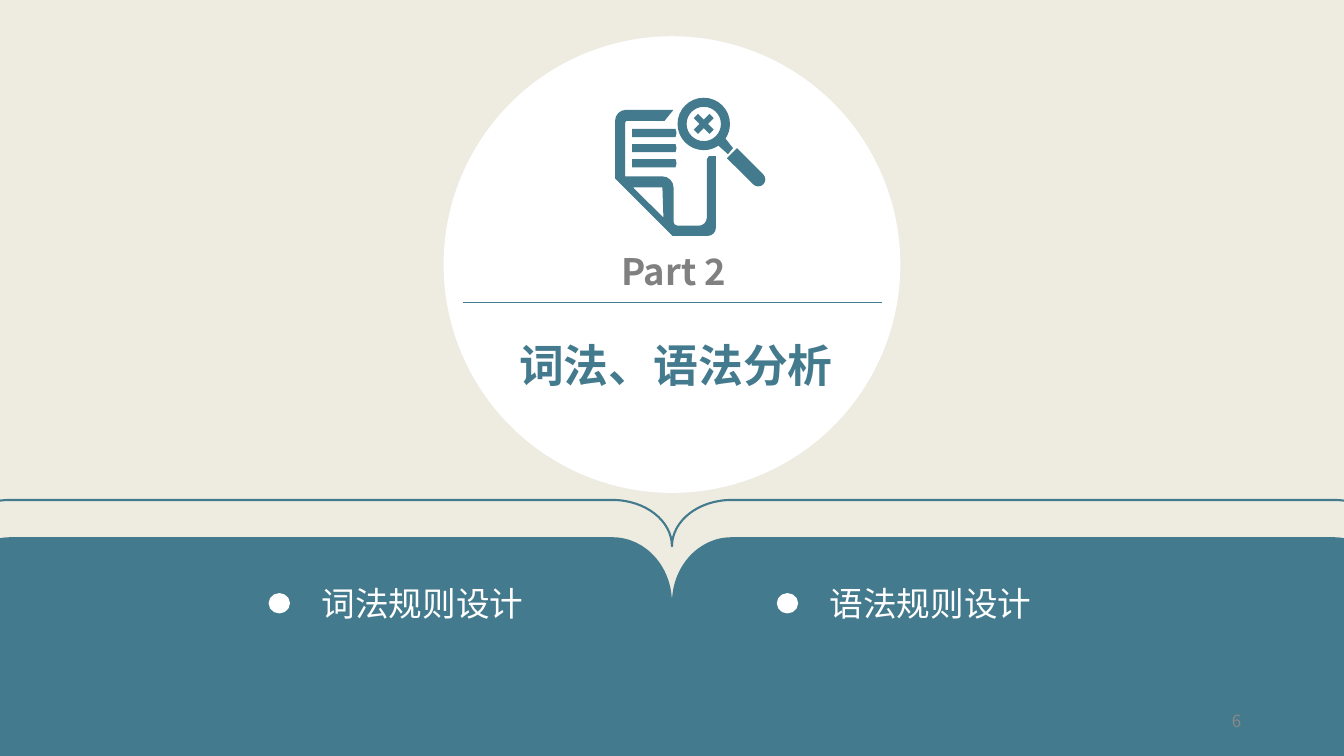
import math
from dataclasses import dataclass

import pptx
import pptx.dml.color
import pptx.enum.shapes
import pptx.enum.text
import pptx.oxml
import pptx.oxml.ns
import pptx.util

Inches = pptx.util.Inches
Pt = pptx.util.Pt
ShapeKind = pptx.enum.shapes.MSO_SHAPE
Anchor = pptx.enum.text.MSO_ANCHOR
Align = pptx.enum.text.PP_ALIGN
DRAWING = pptx.oxml.ns.nsdecls("a")


@dataclass(frozen=True)
class Theme:
    font: str = "Noto Sans CJK SC"
    paper: str = "EEECE1"
    teal: str = "447A8D"
    white: str = "FFFFFF"
    grey: str = "808080"
    pale: str = "898989"
    title_size: int = 32
    part_size: int = 26
    topic_size: int = 24
    number_size: int = 12


THEME = Theme()


def rgb(value):
    return pptx.dml.color.RGBColor.from_string(value)


def paint(shape, fill=None, line=None, width=1.0):
    shape.shadow.inherit = False
    if fill:
        shape.fill.solid()
        shape.fill.fore_color.rgb = rgb(fill)
    else:
        shape.fill.background()
    if line:
        shape.line.color.rgb = rgb(line)
        shape.line.width = Pt(width)
    else:
        shape.line.fill.background()


def arc(x, y, rx, ry, *stops):
    angles = [math.radians(stop) for stop in stops]
    steps = [(x + rx * math.cos(angles[0]), y + ry * math.sin(angles[0]))]
    for a, b in zip(angles, angles[1:]):
        k = 4 / 3 * math.tan((b - a) / 4)
        steps.append((
            x + rx * (math.cos(a) - k * math.sin(a)), y + ry * (math.sin(a) + k * math.cos(a)),
            x + rx * (math.cos(b) + k * math.sin(b)), y + ry * (math.sin(b) - k * math.cos(b)),
            x + rx * math.cos(b), y + ry * math.sin(b)))
    return steps


def outline(slide, left, top, contours):
    placed = [[[Inches(v + (top if i % 2 else left)) for i, v in enumerate(step)]
               for step in contour] for contour in contours]
    builder = slide.shapes.build_freeform(*placed[0][0])
    for index, steps in enumerate(placed):
        if index:
            builder.move_to(*steps[0])
        builder.add_line_segments([step[-2:] for step in steps[1:]], close=True)
    shape = builder.convert_to_shape()
    segments = list(shape._element.iter(pptx.oxml.ns.qn("a:lnTo")))
    for segment, step in zip(segments, [s for steps in placed for s in steps[1:]]):
        if len(step) == 6:
            points = "".join(f'<a:pt x="{x - shape.left}" y="{y - shape.top}"/>'
                             for x, y in zip(step[::2], step[1::2]))
            curve = pptx.oxml.parse_xml(f"<a:cubicBezTo {DRAWING}>{points}</a:cubicBezTo>")
            segment.getparent().replace(segment, curve)
    return shape


def write(shape, box, text, size, color, bold=False, align=Align.LEFT, inset=True, wrap=True):
    shape.left, shape.top, shape.width, shape.height = [Inches(v) for v in box]
    frame = shape.text_frame
    frame.auto_size = pptx.enum.text.MSO_AUTO_SIZE.NONE
    frame.word_wrap = wrap
    frame.vertical_anchor = Anchor.TOP
    frame.margin_left = frame.margin_right = Inches(0.1 if inset else 0)
    frame.margin_top = frame.margin_bottom = Inches(0.05 if inset else 0)
    paragraph = frame.paragraphs[0]
    paragraph.alignment = align
    paragraph.space_before = Pt(0)
    run = paragraph.add_run()
    run.text = text
    run.font.name = THEME.font
    run.font.size = Pt(size)
    run.font.bold = bold
    run.font.color.rgb = rgb(color)
    east_asian = pptx.oxml.parse_xml(f'<a:ea {DRAWING} typeface="{THEME.font}"/>')
    run.font._element.find(pptx.oxml.ns.qn("a:latin")).addnext(east_asian)
    return paragraph


def draw_book(slide, box, corner, fill=None, line=None):
    left, top, width, height = box
    rx, ry = corner
    spine = width / 2
    upper, lower = ry, height - ry
    corners = [
        (spine - rx, upper, -90), (spine + rx, upper, 180),
        (width - rx, upper, -90), (width - rx, lower, 0),
        (spine + rx, lower, 90), (spine - rx, lower, 0),
        (rx, lower, 90), (rx, upper, 180),
    ]
    edge = [step for x, y, start in corners for step in arc(x, y, rx, ry, start, start + 90)]
    paint(outline(slide, left, top, [edge]), fill, line, 1.5)


def draw_search_icon(slide, left, top):
    page = [(0, 0.83), (0.57, 1.4), *arc(0.92, 1.32, 0.08, 0.08, 90, 0),
            (1, 0.61), (0.93, 0.61), (0.91, 0.64),
            *arc(0.83, 1.22, 0.08, 0.08, 0, 90), *arc(0.62, 1.26, 0.04, 0.04, 90, 180),
            *arc(0.47, 0.92, 0.11, 0.11, 0, -90), (0.1, 0.81), (0.1, 0.28),
            (0.11, 0.26), (0.49, 0.26), (0.58, 0.15), *arc(0.11, 0.26, 0.11, 0.11, -90, -180)]
    fold = [(0.18, 0.92), (0.47, 0.92), (0.48, 1.22)]
    bars = [[(0.17, y), (0.6, y), (0.61, y + 0.04), (0.6, y + 0.08), (0.17, y + 0.08)]
            for y in (0.34, 0.49, 0.64)]
    x, y = 0.88, 0.29
    rim = [*arc(x, y, 0.26, 0.26, 56, 90, 180, 270, 360, 394), (1.17, 0.53), (1.12, 0.59)]
    lens = arc(x, y, 0.17, 0.17, 360, 270, 180, 90, 0)
    cross = []
    for turn in range(45, 405, 90):
        c, s = math.cos(math.radians(turn)), math.sin(math.radians(turn))
        for along, across in ((0.11, -0.03), (0.11, 0.03), (0.03, 0.03)):
            cross.append((x + along * c - across * s, y + along * s + across * c))
    handle = [(1.21, 0.53), *arc(1.42, 0.84, 0.07, 0.07, -45, 0, 90, 135), (1.11, 0.63)]
    icon = outline(slide, left, top, [page, fold, *bars, rim, lens, cross, handle])
    paint(icon, THEME.teal)


def draw_medallion(slide, left, top, diameter):
    disc = slide.shapes.add_shape(
        ShapeKind.OVAL, Inches(left), Inches(top), Inches(diameter), Inches(diameter))
    paint(disc, THEME.white)
    rule = slide.shapes.add_connector(
        pptx.enum.shapes.MSO_CONNECTOR.STRAIGHT, Inches(left + 0.19), Inches(top + 2.64),
        Inches(left + 4.35), Inches(top + 2.64))
    rule.line.color.rgb = rgb(THEME.teal)
    rule.line.width = Pt(1)
    rule._element.spPr.append(pptx.oxml.parse_xml(f"<a:effectLst {DRAWING}/>"))
    write(slide.shapes.title, (left + 0.04, top + 2.94, diameter, 0.64), "词法、语法分析",
          THEME.title_size, THEME.teal, bold=True, align=Align.CENTER)
    part = slide.shapes.add_textbox(0, 0, 0, 0)
    write(part, (left + 1.76, top + 2.11, 1.09, 0.44), "Part 2",
          THEME.part_size, THEME.grey, bold=True, inset=False, wrap=False)
    draw_search_icon(slide, left + 1.7, top + 0.58)


def draw_topic(slide, placeholder, box, text):
    left, top, width, height = box
    dot = slide.shapes.add_shape(
        ShapeKind.OVAL, Inches(left), Inches(top + 0.17), Inches(0.18), Inches(0.17))
    paint(dot, THEME.white, THEME.white, 2.25)
    paragraph = write(placeholder, (left + 0.41, top, width - 0.41, height), text,
                      THEME.topic_size, THEME.white)
    properties = paragraph._p.get_or_add_pPr()
    properties.set("marL", "0")
    properties.set("indent", "0")
    properties.append(pptx.oxml.parse_xml(f"<a:buNone {DRAWING}/>"))


def build_section(slide):
    slide.background.fill.solid()
    slide.background.fill.fore_color.rgb = rgb(THEME.paper)
    draw_book(slide, (-0.49, 5.33, 14.31, 3.07), (0.59, 0.65), fill=THEME.teal)
    draw_book(slide, (-0.49, 4.96, 14.31, 2.18), (0.59, 0.46), line=THEME.teal)
    draw_medallion(slide, 4.4, 0.36, 4.53)
    topics = ((2.68, 3.54, "词法规则设计"), (7.72, 3.32, "语法规则设计"))
    bodies = list(slide.placeholders)[1:]
    for body, (left, width, text) in zip(bodies, topics):
        draw_topic(slide, body, (left, 5.73, width, 0.51), text)
    number = slide.shapes.add_textbox(0, 0, 0, 0)
    write(number, (11.41, 7, 1, 0.35), "6", THEME.number_size, THEME.pale, align=Align.RIGHT)
    tree = slide.shapes._spTree
    for holder in list(slide.placeholders):
        tree.append(holder._element)


def main():
    deck = pptx.Presentation()
    deck.slide_width, deck.slide_height = Inches(13.33), Inches(7.5)
    build_section(deck.slides.add_slide(deck.slide_layouts[3]))
    deck.save("out.pptx")


if __name__ == "__main__":
    main()
